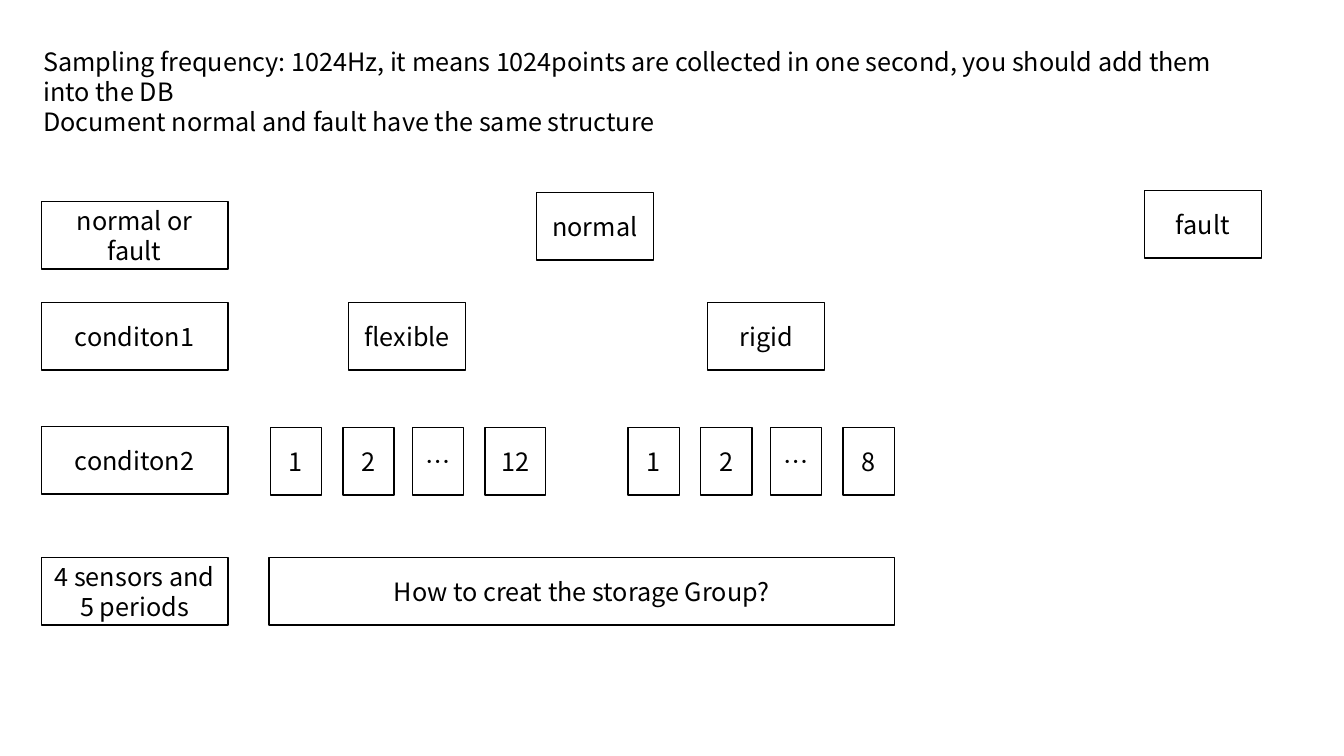
from pptx import Presentation
from pptx.dml.color import RGBColor
from pptx.enum.shapes import MSO_SHAPE
from pptx.enum.text import MSO_ANCHOR, PP_ALIGN
from pptx.util import Inches, Pt

BLACK = RGBColor(0, 0, 0)
FONT = "Noto Sans CJK SC"
BOX_HEIGHT = 0.67
LABEL_LEFT, LABEL_WIDTH = 0.41, 1.85
NAME_WIDTH = 1.16
NUMBER_WIDTH, LAST_FLEXIBLE_WIDTH = 0.51, 0.6
NUMBER_OFFSETS = (0, 0.72, 1.41, 2.13)
CONDITION1_TOP, CONDITION2_TOP, SENSORS_TOP = 3, 4.24, 5.53

INTRODUCTION = (
    "Sampling frequency: 1024Hz, it means 1024points are collected in one second, "
    "you should add them into the DB",
    "Document normal and fault have the same structure ",
)
ROW_LABELS = (
    ("normal or fault", 2),
    ("conditon1", CONDITION1_TOP),
    ("conditon2", 4.23),
    ("4 sensors and 5 periods", SENSORS_TOP),
)
NAMES = (
    ("normal", 5.32, 1.91),
    ("fault", 11.35, 1.89),
    ("flexible", 3.46, CONDITION1_TOP),
    ("rigid", 7.02, CONDITION1_TOP),
)
NUMBER_GROUPS = (
    (2.68, "12", LAST_FLEXIBLE_WIDTH),
    (6.23, "8", NUMBER_WIDTH),
)


def style_font(paragraph):
    """Apply the common typeface, size and colour to a paragraph."""
    paragraph.font.name = FONT
    paragraph.font.size = Pt(18)
    paragraph.font.color.rgb = BLACK


def add_introduction(slide):
    """Add the explanatory text at the top of the slide."""
    text_box = slide.shapes.add_textbox(
        Inches(0.33), Inches(0.41), Inches(12.3), Inches(0.71)
    )
    frame = text_box.text_frame
    frame.word_wrap = True
    frame.text = "\n".join(INTRODUCTION)
    for paragraph in frame.paragraphs:
        style_font(paragraph)


def add_box(slide, text, left, top, width):
    """Add an outlined rectangle with centred text."""
    shape = slide.shapes.add_shape(
        MSO_SHAPE.RECTANGLE,
        Inches(left), Inches(top), Inches(width), Inches(BOX_HEIGHT),
    )
    shape.shadow.inherit = False
    shape.fill.background()
    shape.line.color.rgb = BLACK
    shape.line.width = Pt(1)
    frame = shape.text_frame
    frame.word_wrap = True
    frame.vertical_anchor = MSO_ANCHOR.MIDDLE
    frame.text = text
    paragraph = frame.paragraphs[0]
    paragraph.alignment = PP_ALIGN.CENTER
    style_font(paragraph)


def add_number_group(slide, left, last, last_width):
    """Add the row of numbered boxes below a condition."""
    texts = ("1", "2", "…", last)
    widths = (NUMBER_WIDTH,) * 3 + (last_width,)
    for text, offset, width in zip(texts, NUMBER_OFFSETS, widths):
        add_box(slide, text, left + offset, CONDITION2_TOP, width)


def main():
    """Build the slide and save the presentation."""
    presentation = Presentation()
    presentation.slide_width = Inches(13.33)
    presentation.slide_height = Inches(7.5)
    slide = presentation.slides.add_slide(presentation.slide_layouts[6])
    add_introduction(slide)
    for text, left, top in NAMES:
        add_box(slide, text, left, top, NAME_WIDTH)
    for left, last, last_width in NUMBER_GROUPS:
        add_number_group(slide, left, last, last_width)
    add_box(slide, "How to creat the storage Group?", 2.67, SENSORS_TOP, 6.2)
    for text, top in ROW_LABELS:
        add_box(slide, text, LABEL_LEFT, top, LABEL_WIDTH)
    presentation.save("out.pptx")


main()
